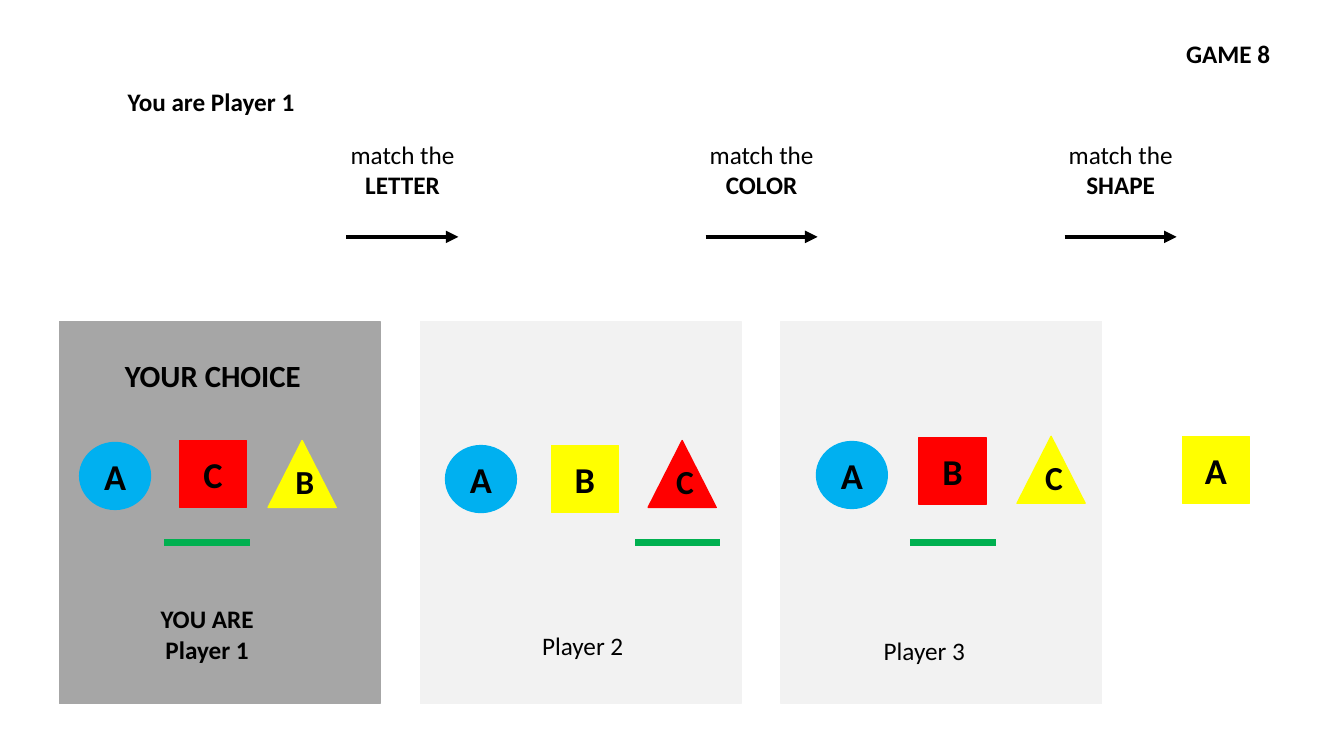
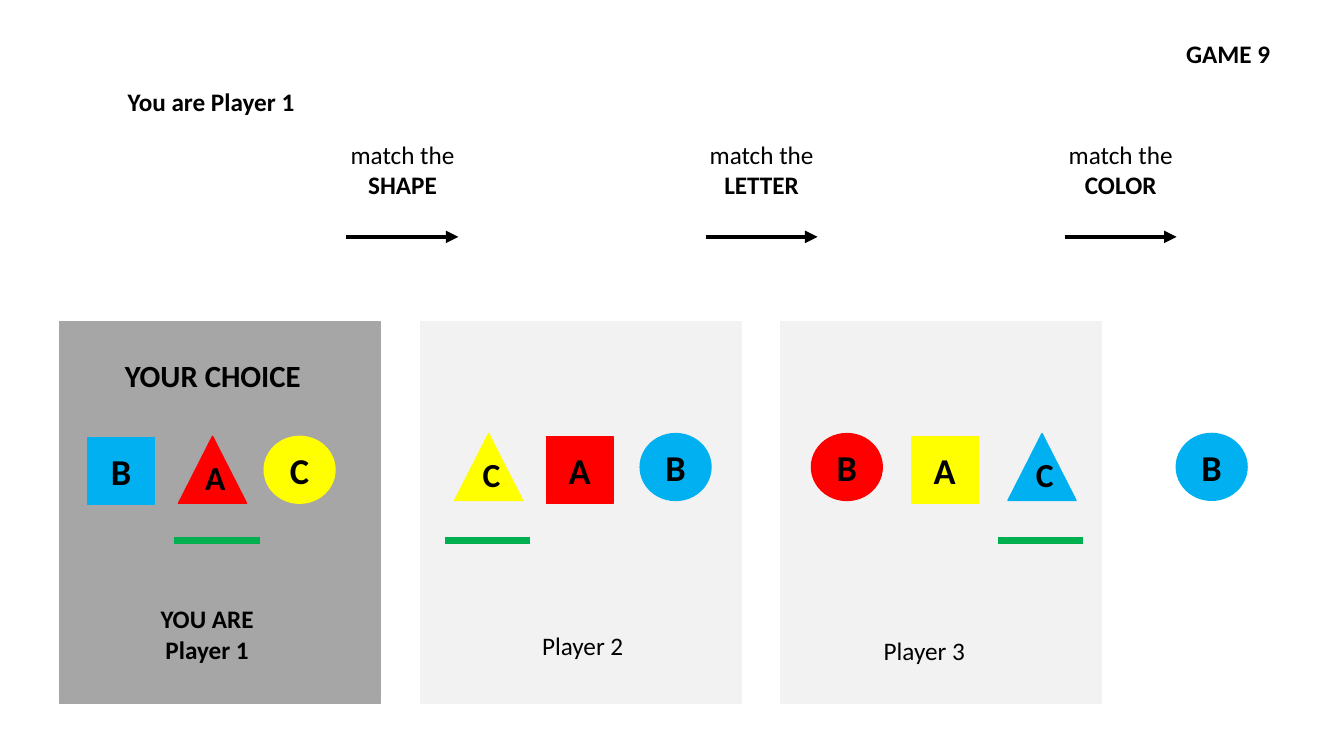
from lxml.etree import SubElement
from pptx import Presentation
from pptx.dml.color import RGBColor
from pptx.enum.shapes import MSO_CONNECTOR, MSO_SHAPE
from pptx.enum.text import MSO_ANCHOR, PP_ALIGN
from pptx.oxml.ns import qn
from pptx.util import Pt

BLACK = RGBColor(0x00, 0x00, 0x00)
GREY = RGBColor(0xA6, 0xA6, 0xA6)
PALE = RGBColor(0xF2, 0xF2, 0xF2)
GREEN = RGBColor(0x00, 0xB0, 0x50)
BLUE = RGBColor(0x00, 0xB0, 0xF0)
RED = RGBColor(0xFF, 0x00, 0x00)
YELLOW = RGBColor(0xFF, 0xFF, 0x00)

FONT = "Calibri"
LEFT, CENTER = PP_ALIGN.LEFT, PP_ALIGN.CENTER
CIRCLE, SQUARE, TRIANGLE = MSO_SHAPE.OVAL, MSO_SHAPE.RECTANGLE, MSO_SHAPE.ISOSCELES_TRIANGLE

# Width and height, letter size, and text frame format of each kind of token
BARE = {"margin_left": 0, "margin_right": 0, "margin_top": 0, "margin_bottom": 0,
        "word_wrap": False, "vertical_anchor": MSO_ANCHOR.MIDDLE}
TOKENS = {
    CIRCLE: (50.6, 47.8, 26, BARE),
    SQUARE: (47.8, 47.8, 26, BARE),
    TRIANGLE: (48.6, 47.8, 24, BARE | {"margin_left": Pt(4), "margin_bottom": Pt(14)}),
}

PANEL_X, PANEL_Y, PANEL_W, PANEL_H = 42.5, 229.7, 229, 273
STEP = 257.75
MARK_W = 61
# Fill of each panel, then its labels: lines, box within the panel, size, bold, alignment
PANELS = [
    (GREY, [(["YOUR CHOICE"], (39.6, 21.6, 149.8, 33.8), 22, True, LEFT),
            (["YOU ARE", "Player 1"], (64.8, 198, 81.4, 51), 18, True, CENTER)]),
    (PALE, [(["Player 2"], (78.5, 216.7, 75, 29), 18, False, CENTER)]),
    (PALE, [(["Player 3"], (66.2, 220.3, 88.6, 35.3), 18, False, LEFT)]),
]

# Tokens are (kind, letter, colour, x, y); places are within the panel, save for the target
GAMES = [
    {"title": "GAME 8", "rules": ["LETTER", "COLOR", "SHAPE"], "mark_y": 157.7,
     "hands": [
         ([(CIRCLE, "A", BLUE, 14.4, 86.4), (SQUARE, "C", RED, 85.7, 85),
           (TRIANGLE, "B", YELLOW, 149, 85)], 75),
         ([(CIRCLE, "A", BLUE, 18, 88.6), (SQUARE, "B", YELLOW, 93.6, 88.6),
           (TRIANGLE, "C", RED, 162.7, 85)], 153.4),
         ([(CIRCLE, "A", BLUE, 25.2, 85.7), (SQUARE, "B", RED, 98.6, 82.8),
           (TRIANGLE, "C", YELLOW, 168.5, 82)], 92.2)],
     "target": (SQUARE, "A", YELLOW, 844.6, 311.8)},
    {"title": "GAME 9", "rules": ["SHAPE", "LETTER", "COLOR"], "mark_y": 156.2,
     "hands": [
         ([(SQUARE, "B", BLUE, 20.2, 82.8), (TRIANGLE, "A", RED, 85, 82),
           (CIRCLE, "C", YELLOW, 146.2, 82)], 82),
         ([(TRIANGLE, "C", YELLOW, 24.5, 80), (SQUARE, "A", RED, 90, 82),
           (CIRCLE, "B", BLUE, 157, 80)], 17.3),
         ([(CIRCLE, "B", RED, 21.6, 80), (SQUARE, "A", YELLOW, 92.9, 82),
           (TRIANGLE, "C", BLUE, 162, 80)], 154.8)],
     "target": (CIRCLE, "B", BLUE, 840.2, 309.6)},
]


def style(item, form):
    for name, value in form.items():
        setattr(item, name, value)


def write(para, text, size, bold, align=CENTER):
    para.alignment = align
    run = para.add_run()
    run.text = text
    style(run.font, {"name": FONT, "size": Pt(size), "bold": bold})
    run.font.color.rgb = BLACK


def label(slide, box, lines, size=18, align=LEFT):
    """Add a text box; lines are (text, bold) pairs."""
    frame = slide.shapes.add_textbox(*map(Pt, box)).text_frame
    frame.word_wrap = False
    for i, (text, bold) in enumerate(lines):
        para = frame.add_paragraph() if i else frame.paragraphs[0]
        write(para, text, size, bold, align)


def block(slide, kind, box, color):
    shape = slide.shapes.add_shape(kind, *map(Pt, box))
    shape.shadow.inherit = False
    shape.fill.solid()
    shape.fill.fore_color.rgb = color
    shape.line.color.rgb = color
    shape.line.width = Pt(1)
    return shape


def rule(slide, x, y, width, color, weight, arrow=False):
    """Draw a level line, with an arrowhead at its right end if asked."""
    line = slide.shapes.add_connector(MSO_CONNECTOR.STRAIGHT, Pt(x), Pt(y), Pt(x + width), Pt(y))
    line.line.color.rgb = color
    line.line.width = Pt(weight)
    if arrow:
        SubElement(line.line._get_or_add_ln(), qn("a:tailEnd"), type="triangle")
    SubElement(line._element.spPr, qn("a:effectLst"))


def token(slide, kind, letter, color, x, y):
    width, height, size, form = TOKENS[kind]
    frame = block(slide, kind, (x, y, width, height), color).text_frame
    style(frame, form)
    write(frame.paragraphs[0], letter, size, True)


def panel(slide, x, y, look, hand, mark_y):
    """Draw one player's panel: labels, tokens and the mark under the choice."""
    color, labels = look
    tokens, mark_x = hand
    block(slide, SQUARE, (x, y, PANEL_W, PANEL_H), color)
    for lines, (dx, dy, width, height), size, bold, align in labels:
        label(slide, (x + dx, y + dy, width, height), [(text, bold) for text in lines], size, align)
    for kind, letter, fill, dx, dy in tokens:
        token(slide, kind, letter, fill, x + dx, y + dy)
    rule(slide, x + mark_x, y + mark_y, MARK_W, GREEN, 5)


def match(slide, x, y, word):
    """Place one matching rule above its arrow."""
    label(slide, (x, y, 90, 51), [("match the", False), (word, True)], align=CENTER)
    rule(slide, x + 5, y + 73.4, 80, BLACK, 3, arrow=True)


def board(slide, game):
    label(slide, (840.2, 23.8, 75.6, 29), [(game["title"], True)])
    label(slide, (84.2, 58.3, 134.6, 29), [("You are Player 1", True)])
    for i, (word, look, hand) in enumerate(zip(game["rules"], PANELS, game["hands"])):
        match(slide, 242.5 + i * 256.5, 95.8, word)
        panel(slide, PANEL_X + i * STEP, PANEL_Y, look, hand, game["mark_y"])
    token(slide, *game["target"])


def main():
    deck = Presentation()
    style(deck, {"slide_width": Pt(960), "slide_height": Pt(540)})
    for game in GAMES:
        board(deck.slides.add_slide(deck.slide_layouts[6]), game)
    deck.save("out.pptx")


if __name__ == "__main__":
    main()
